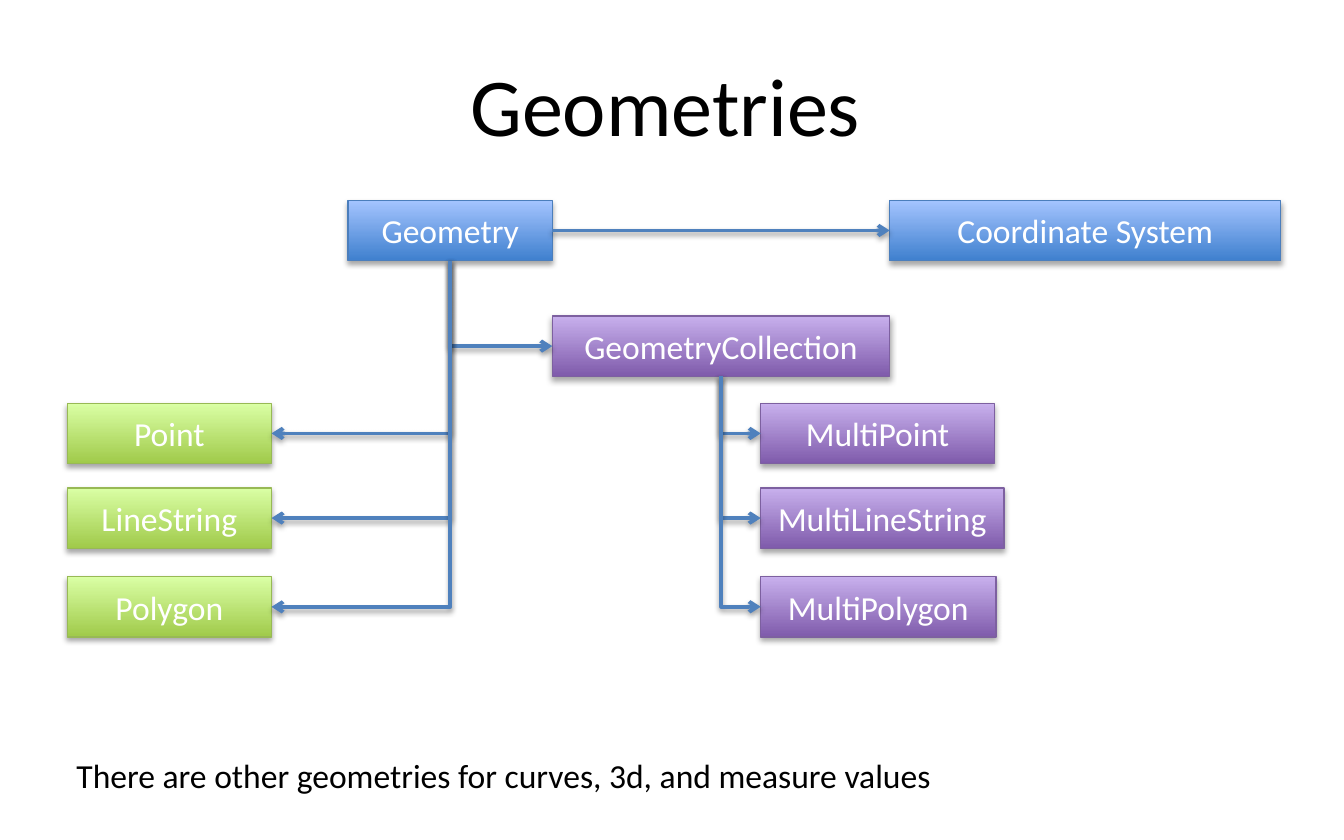
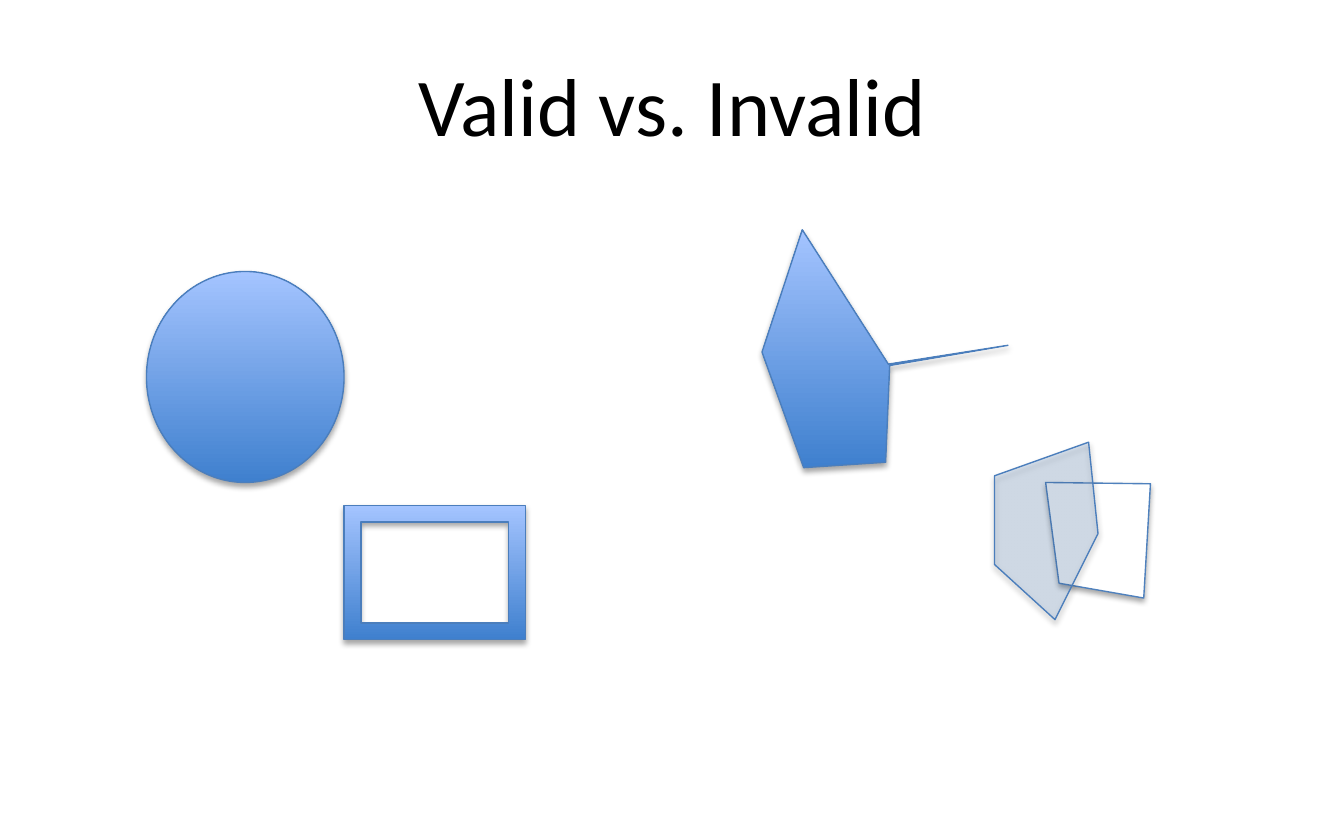
from lxml import etree
from pptx import Presentation
from pptx.dml.color import RGBColor
from pptx.enum.shapes import MSO_CONNECTOR, MSO_SHAPE
from pptx.enum.text import MSO_ANCHOR, MSO_AUTO_SIZE, PP_ALIGN
from pptx.oxml.ns import qn
from pptx.util import Inches, Pt

CENTER = PP_ALIGN.CENTER
MIDDLE = MSO_ANCHOR.MIDDLE
FIT_SHAPE = MSO_AUTO_SIZE.SHAPE_TO_FIT_TEXT
RECTANGLE = MSO_SHAPE.RECTANGLE
OVAL = MSO_SHAPE.OVAL
FRAME = MSO_SHAPE.FRAME
STRAIGHT = MSO_CONNECTOR.STRAIGHT
ELBOW = MSO_CONNECTOR.ELBOW
BOTTOM, LEFT, RIGHT = 2, 1, 3

FONT = "Calibri"
COLORS = {
    "black": "000000", "white": "FFFFFF", "accent": "4F81BD",
    "blue dark": "3F80CE", "blue light": "A4C4FF", "blue line": "4B7EBC",
    "green dark": "A0CA4A", "green light": "DAFFA5", "green line": "98B955",
    "purple dark": "7F5BAB", "purple light": "C8B0ED", "purple line": "7D60A0",
}
RGB = {name: RGBColor.from_string(value) for name, value in COLORS.items()}


def finish_shape(shape, line_color, fill_color=None, gradient=None, distance=1.8, opacity=35):
    properties = shape._element.spPr
    if gradient:
        shape.fill.gradient()
        shape.fill.gradient_angle = 90
        for stop, shade in zip(shape.fill.gradient_stops, ("dark", "light")):
            stop.color.rgb = RGB[f"{gradient} {shade}"]
    elif fill_color:
        shape.fill.solid()
        shape.fill.fore_color.rgb = RGB[fill_color]
    shape.line.color.rgb = RGB[line_color]
    shape.line.width = Pt(0.75)
    effects = etree.SubElement(properties, qn("a:effectLst"))
    shadow = etree.SubElement(effects, qn("a:outerShdw"), blurRad=str(Pt(3.1)),
                              dist=str(Pt(distance)), dir="5400000", rotWithShape="0")
    color = etree.SubElement(shadow, qn("a:srgbClr"), val=COLORS["black"])
    etree.SubElement(color, qn("a:alpha"), val=str(opacity * 1000))


def add_text(paragraph, text, size, color):
    run = paragraph.add_run()
    run.text = text
    run.font.name = FONT
    run.font.size = Pt(size)
    run.font.color.rgb = RGB[color]


presentation = Presentation()
presentation.slide_width = Inches(10)
presentation.slide_height = Inches(6.25)

slides = []
for title_text in ("Geometries\t", "Valid vs. Invalid"):
    slide = presentation.slides.add_slide(presentation.slide_layouts[5])
    title = slide.shapes.title
    title.left, title.top = Inches(0.5), Inches(0.25)
    title.width, title.height = Inches(9), Inches(1.04)
    title.text_frame.vertical_anchor = MIDDLE
    paragraph = title.text_frame.paragraphs[0]
    paragraph.alignment = CENTER
    add_text(paragraph, title_text, 44, "black")
    slides.append(slide)
hierarchy_slide, validity_slide = slides

ROWS = (3, 3.63, 4.29)
class_boxes = [
    ("Coordinate System", 6.62, 1.49, 2.91, "blue"),
    ("Geometry", 2.59, 1.49, 1.52, "blue"),
    ("GeometryCollection", 4.11, 2.35, 2.51, "purple"),
]
for name, multi_width, top in zip(("Point", "LineString", "Polygon"), (1.74, 1.81, 1.75), ROWS):
    class_boxes.append((name, 0.5, top, 1.52, "green"))
    class_boxes.append((f"Multi{name}", 5.66, top, multi_width, "purple"))

boxes = {}
for name, left, top, width, palette in class_boxes:
    box = hierarchy_slide.shapes.add_shape(
        RECTANGLE, Inches(left), Inches(top), Inches(width), Inches(0.45))
    finish_shape(box, f"{palette} line", gradient=palette)
    box.text_frame.vertical_anchor = MIDDLE
    paragraph = box.text_frame.paragraphs[0]
    paragraph.alignment = CENTER
    add_text(paragraph, name, 18, "white")
    boxes[name] = box

relations = [
    ("Geometry", RIGHT, "Coordinate System", LEFT),
    ("Geometry", BOTTOM, "GeometryCollection", LEFT),
    ("Geometry", BOTTOM, "Point", RIGHT),
    ("Geometry", BOTTOM, "LineString", RIGHT),
    ("Geometry", BOTTOM, "Polygon", RIGHT),
    ("GeometryCollection", BOTTOM, "MultiPoint", LEFT),
    ("GeometryCollection", BOTTOM, "MultiLineString", LEFT),
    ("GeometryCollection", BOTTOM, "MultiPolygon", LEFT),
]
for source, source_side, target, target_side in relations:
    bent = source_side == BOTTOM
    connector = hierarchy_slide.shapes.add_connector(ELBOW if bent else STRAIGHT, 0, 0, 0, 0)
    connector.begin_connect(boxes[source], source_side)
    connector.end_connect(boxes[target], target_side)
    if bent:
        across = connector.end_x - connector.begin_x
        down = connector.end_y - connector.begin_y
        center_x = connector.begin_x + across // 2
        center_y = connector.begin_y + down // 2
        connector.width, connector.height = down, abs(across)
        connector.left = center_x - down // 2
        connector.top = center_y - abs(across) // 2
        properties = connector._element.spPr
        properties.find(qn("a:prstGeom")).set("prst", "bentConnector2")
        transform = properties.find(qn("a:xfrm"))
        transform.set("rot", "16200000" if across > 0 else "5400000")
        transform.set("flipH", "1" if across > 0 else "0")
        transform.set("flipV", "0")
    finish_shape(connector, "accent", distance=1.6, opacity=38)
    connector.line.width = Pt(2)
    line = connector._element.spPr.find(qn("a:ln"))
    etree.SubElement(line, qn("a:tailEnd"), type="arrow")

note = hierarchy_slide.shapes.add_textbox(Inches(0.47), Inches(5.57), Inches(6.65), Inches(0.4))
note.text_frame.word_wrap = False
note.text_frame.auto_size = FIT_SHAPE
add_text(note.text_frame.paragraphs[0],
         "There are other geometries for curves, 3d, and measure values", 18, "black")

valid_shapes = [(OVAL, 1.09, 2.02, 1.47, 1.57), (FRAME, 2.56, 3.76, 1.35, 1)]
for preset, left, top, width, height in valid_shapes:
    valid_shape = validity_slide.shapes.add_shape(
        preset, Inches(left), Inches(top), Inches(width), Inches(height))
    finish_shape(valid_shape, "blue line", gradient="blue")

spiked_polygon = [(5.97, 1.71), (5.67, 2.62), (5.98, 3.48), (6.59, 3.44),
                  (6.62, 2.72), (7.5, 2.57), (6.61, 2.71)]
white_polygon = [(8.56, 3.6), (7.78, 3.59), (7.88, 4.34), (8.51, 4.45)]
clear_polygon = [(7.4, 3.54), (7.4, 4.2), (7.85, 4.61), (8.17, 3.97), (8.1, 3.29)]
invalid_shapes = [
    (spiked_polygon, "blue line", None, "blue", None),
    (white_polygon, "accent", "white", None, None),
    (clear_polygon, "blue line", "accent", None, 20),
]
for points, line_color, fill_color, gradient, opacity in invalid_shapes:
    corners = [(Inches(x), Inches(y)) for x, y in points]
    builder = validity_slide.shapes.build_freeform(*corners[0])
    builder.add_line_segments(corners[1:], close=True)
    polygon = builder.convert_to_shape()
    finish_shape(polygon, line_color, fill_color, gradient)
    if opacity:
        color = polygon._element.spPr.find(qn("a:solidFill")).find(qn("a:srgbClr"))
        etree.SubElement(color, qn("a:alpha"), val=str(opacity * 1000))

presentation.save("out.pptx")
